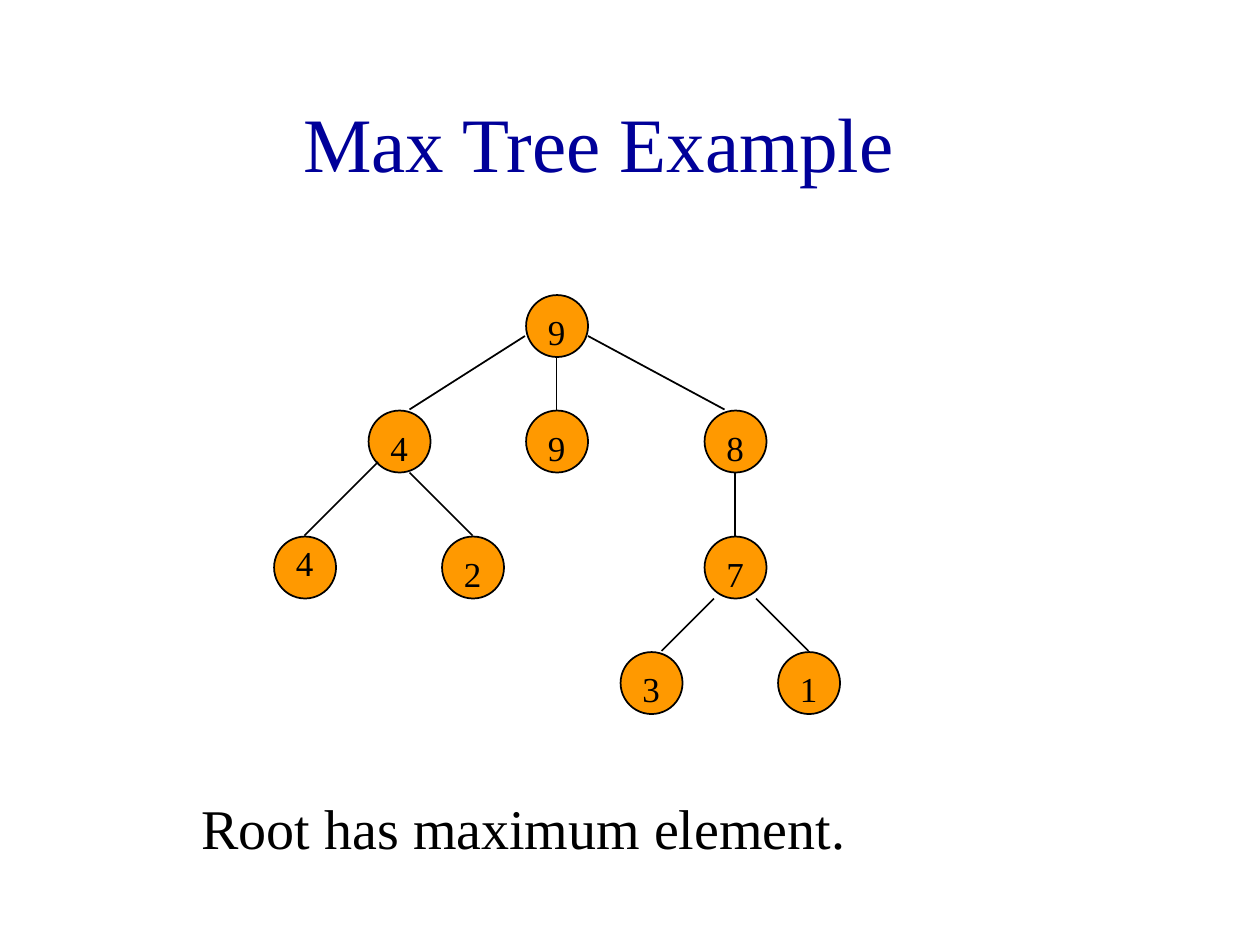
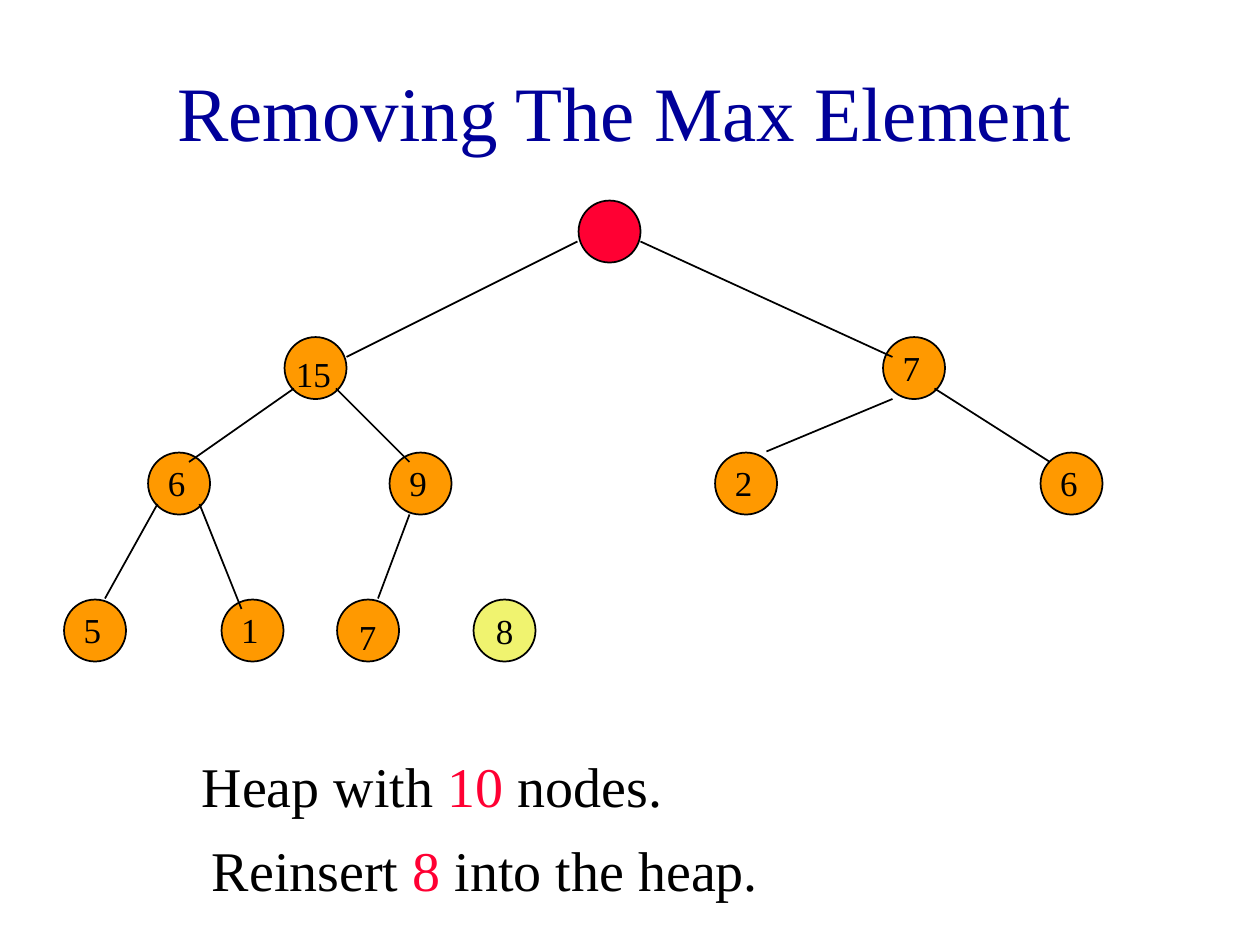
from typing import NamedTuple, Optional

from lxml import etree
from pptx import Presentation
from pptx import util as u
from pptx.dml.color import RGBColor
from pptx.enum import shapes, text
from pptx.oxml.ns import qn

PX = 7620  # EMU; 120 px to the inch
FONT = "Times New Roman"
NAVY = RGBColor(0x00, 0x00, 0x99)
BLACK = RGBColor(0x00, 0x00, 0x00)
AMBER = RGBColor(0xFF, 0x99, 0x00)
RED = RGBColor(0xFF, 0x00, 0x33)
LEMON = RGBColor(0xF0, 0xF3, 0x6F)
LEFT, MID = text.PP_ALIGN.LEFT, text.PP_ALIGN.CENTER
TOP, HALF = text.MSO_ANCHOR.TOP, text.MSO_ANCHOR.MIDDLE
DISC = 59
LOW = (10, 10)
HIGH = (8, 4)


class Run(NamedTuple):
    words: str
    color: RGBColor = BLACK


class Box(NamedTuple):
    x: int
    y: int
    w: int
    h: int


class Node(NamedTuple):
    """A tree node; shift places its label, None keeps the label in the disc."""
    x: int
    y: int
    tag: str = ""
    shift: Optional[tuple[int, int]] = LOW
    fill: RGBColor = AMBER
    wide: int = 41


class Edge(NamedTuple):
    x1: int
    y1: int
    x2: int
    y2: int


class Note(NamedTuple):
    box: Box
    runs: list[Run]


class Page(NamedTuple):
    title: Note
    body: Note
    nodes: list[Node]
    edges: list[Edge]
    extra: Optional[Note] = None


PAGES = [
    Page(
        Note(Box(60, 60, 1020, 150), [Run("Max Tree Example", NAVY)]),
        Note(Box(180, 750, 840, 110), [Run("Root has maximum element.")]),
        [
            Node(500, 280, "9", wide=30),
            Node(350, 390, "4"),
            Node(500, 390, "9"),
            Node(670, 390, "8"),
            Node(260, 510, "4", (10, 0)),
            Node(420, 510, "2"),
            Node(670, 510, "7"),
            Node(590, 620, "3"),
            Node(740, 620, "1"),
        ],
        [
            Edge(500, 320, 390, 390),
            Edge(530, 340, 530, 390),
            Edge(560, 320, 690, 390),
            Edge(360, 440, 290, 510),
            Edge(390, 450, 450, 510),
            Edge(700, 450, 700, 510),
            Edge(680, 570, 630, 620),
            Edge(720, 570, 770, 620),
        ],
    ),
    Page(
        Note(Box(10, 30, 1170, 150), [Run("Removing The Max Element", NAVY)]),
        Note(Box(180, 710, 840, 60),
             [Run("Heap with "), Run("10 ", RED), Run("nodes.")]),
        [
            Node(550, 190, fill=RED),
            Node(270, 320, "15", (0, 10), wide=100),
            Node(840, 320, "7", HIGH),
            Node(140, 430, "6", HIGH),
            Node(370, 430, "9", HIGH),
            Node(680, 430, "2", HIGH),
            Node(990, 430, "6", HIGH),
            Node(60, 570, "5", HIGH),
            Node(210, 570, "1", HIGH),
            Node(320, 570, "7", wide=30),
            Node(450, 570, "8", None, LEMON),
        ],
        [
            Edge(550, 230, 330, 340),
            Edge(610, 230, 850, 340),
            Edge(280, 370, 180, 440),
            Edge(320, 370, 390, 440),
            Edge(850, 380, 730, 430),
            Edge(890, 370, 1000, 440),
            Edge(150, 480, 100, 570),
            Edge(190, 480, 230, 580),
            Edge(390, 490, 360, 570),
        ],
        Note(Box(190, 790, 840, 76),
             [Run("Reinsert "), Run("8 ", RED), Run("into the heap.")]),
    ),
]


def emu(box: tuple[int, ...]) -> list[u.Emu]:
    return [u.Emu(n * PX) for n in box]


def write(shape, runs: list[Run], size: int, align=LEFT, anchor=TOP,
          wrap: bool = True) -> None:
    frame = shape.text_frame
    frame.word_wrap = wrap
    frame.auto_size = text.MSO_AUTO_SIZE.NONE
    frame.vertical_anchor = anchor
    para = frame.paragraphs[0]
    para.alignment = align
    for part in runs:
        run = para.add_run()
        run.text = part.words
        run.font.name = FONT
        run.font.size = u.Pt(size)
        run.font.color.rgb = part.color


def place(shape, box: Box) -> None:
    shape.left, shape.top, shape.width, shape.height = emu(box)


def label(slide, box: Box, runs: list[Run], size: int) -> None:
    write(slide.shapes.add_textbox(*emu(box)), runs, size)


def disc(slide, node: Node) -> None:
    oval = slide.shapes.add_shape(
        shapes.MSO_SHAPE.OVAL, *emu((node.x + 1, node.y + 1, DISC, DISC)))
    oval.shadow.inherit = False
    oval.fill.solid()
    oval.fill.fore_color.rgb = node.fill
    oval.line.color.rgb = BLACK
    oval.line.width = u.Pt(1)
    if node.shift is None:
        write(oval, [Run(node.tag)], 20, MID, HALF, wrap=False)


def link(slide, edge: Edge) -> None:
    line = slide.shapes.add_connector(
        shapes.MSO_CONNECTOR.STRAIGHT, *emu(edge))
    line.line.color.rgb = BLACK
    line.line.width = u.Pt(1)
    etree.SubElement(line._element.spPr, qn("a:effectLst"))


def build(deck, page: Page) -> None:
    slide = deck.slides.add_slide(deck.slide_layouts[0])
    title, body = slide.placeholders
    place(title, page.title.box)
    write(title, page.title.runs, 44, MID, HALF)
    place(body, page.body.box)
    write(body, page.body.runs, 32)
    for node in page.nodes:
        disc(slide, node)
    for edge in page.edges:
        link(slide, edge)
    for node in page.nodes:
        if node.tag and node.shift:
            dx, dy = node.shift
            spot = Box(node.x + dx, node.y + dy, node.wide, 52)
            label(slide, spot, [Run(node.tag)], 20)
    if page.extra:
        label(slide, page.extra.box, page.extra.runs, 32)


def main() -> None:
    deck = Presentation()
    deck.slide_width, deck.slide_height = emu((1200, 900))
    for page in PAGES:
        build(deck, page)
    deck.save("out.pptx")


if __name__ == "__main__":
    main()
